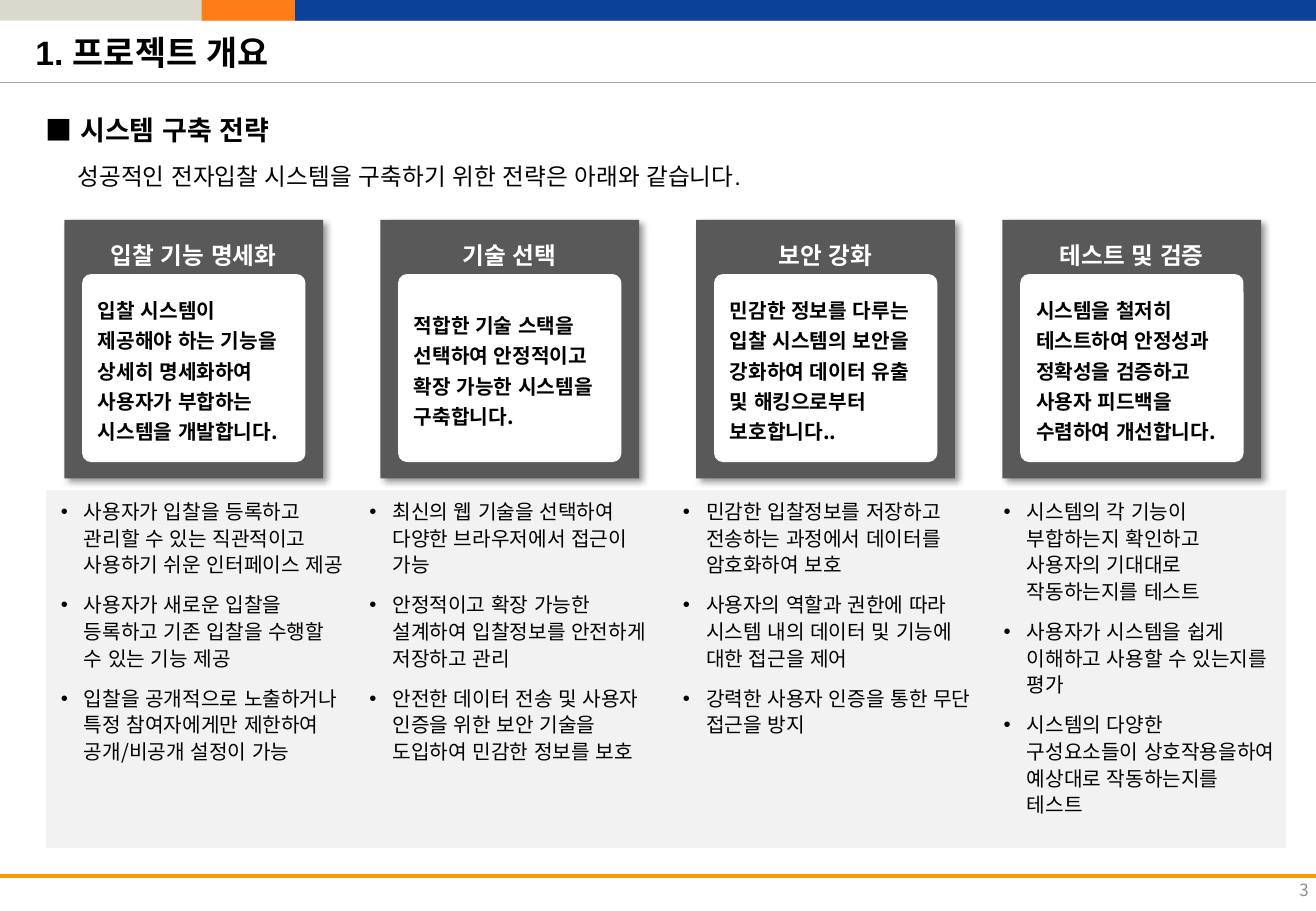
from dataclasses import dataclass

from lxml.etree import SubElement
from pptx import Presentation
from pptx.dml.color import RGBColor
from pptx.enum.lang import MSO_LANGUAGE_ID as Language
from pptx.enum.shapes import MSO_CONNECTOR as Connector, MSO_SHAPE as Shape
from pptx.enum.text import MSO_ANCHOR as Anchor, MSO_AUTO_SIZE as AutoSize, PP_ALIGN as Align
from pptx.oxml.ns import qn
from pptx.util import Inches, Pt

CELL = 0.1
COLUMNS, ROWS = 108.3, 75


@dataclass(frozen=True)
class Theme:
    latin: str = "Arial"
    korean: str = "Noto Sans CJK KR"
    black: str = "000000"
    white: str = "FFFFFF"
    card: str = "595959"
    panel: str = "F2F2F2"
    rule: str = "A6A6A6"
    number: str = "8C8C8C"
    beige: str = "D9D9CE"
    orange: str = "FE7D19"
    blue: str = "0C419A"
    footer: str = "FF9900"
    title_size: int = 20
    heading_size: int = 16
    lead_size: int = 14
    body_size: int = 12
    number_size: int = 10


THEME = Theme()

STRATEGIES = [
    (5.3, "입찰 기능 명세화",
     "입찰 시스템이 제공해야 하는 기능을 상세히 명세화하여 사용자가 부합하는 시스템을 개발합니다.",
     ["사용자가 입찰을 등록하고 관리할 수 있는 직관적이고 사용하기 쉬운 인터페이스 제공",
      "사용자가 새로운 입찰을 등록하고 기존 입찰을 수행할 수 있는 기능 제공",
      "입찰을 공개적으로 노출하거나 특정 참여자에게만 제한하여 공개/비공개 설정이 가능"]),
    (31.3, "기술 선택",
     "적합한 기술 스택을 선택하여 안정적이고 확장 가능한 시스템을 구축합니다.",
     ["최신의 웹 기술을 선택하여 다양한 브라우저에서 접근이 가능",
      "안정적이고 확장 가능한 설계하여 입찰정보를 안전하게 저장하고 관리",
      "안전한 데이터 전송 및 사용자 인증을 위한 보안 기술을 도입하여 민감한 정보를 보호"]),
    (57.3, "보안 강화",
     "민감한 정보를 다루는 입찰 시스템의 보안을 강화하여 데이터 유출 및 해킹으로부터 보호합니다..",
     ["민감한 입찰정보를 저장하고 전송하는 과정에서 데이터를 암호화하여 보호",
      "사용자의 역할과 권한에 따라 시스템 내의 데이터 및 기능에 대한 접근을 제어",
      "강력한 사용자 인증을 통한 무단 접근을 방지"]),
    (82.5, "테스트 및 검증",
     "시스템을 철저히 테스트하여 안정성과 정확성을 검증하고 사용자 피드백을 수렴하여 개선합니다.",
     ["시스템의 각 기능이 부합하는지 확인하고 사용자의 기대대로 작동하는지를 테스트",
      "사용자가 시스템을 쉽게 이해하고 사용할 수 있는지를 평가",
      "시스템의 다양한 구성요소들이 상호작용을하여 예상대로 작동하는지를 테스트"]),
]
PANEL_EDGES = [3.8, 29.2, 55, 81.4, 105.8]


def grid(*cells):
    return [Inches(cell * CELL) for cell in cells]


def color(value):
    return RGBColor.from_string(value)


def write(shape, *texts, size, font=THEME.korean, ink=THEME.black, bold=False, align=Align.LEFT,
          anchor=Anchor.TOP, spacing=None, gap=0, bullet=None, margins=(1, 0.5, 1, 0.5), indent=0):
    frame = shape.text_frame
    frame.word_wrap = True
    frame.auto_size = AutoSize.NONE
    frame.vertical_anchor = anchor
    frame.margin_left, frame.margin_top, frame.margin_right, frame.margin_bottom = grid(*margins)
    for index, text in enumerate(texts):
        paragraph = frame.add_paragraph() if index else frame.paragraphs[0]
        paragraph.alignment = align
        paragraph.line_spacing = Pt(spacing) if spacing else 1
        paragraph.space_before = Pt(gap if index else 0)
        paragraph.space_after = Pt(gap)
        properties = paragraph._p.get_or_add_pPr()
        properties.set("marL", str(Inches(indent * CELL)))
        properties.set("indent", str(-Inches(indent * CELL) if bullet else 0))
        if bullet:
            SubElement(properties, qn("a:buFont"), typeface=THEME.latin)
            SubElement(properties, qn("a:buChar"), char=bullet)
        run = paragraph.add_run()
        run.text = text
        run.font.name = font
        run.font.size = Pt(size)
        run.font.bold = bold
        run.font.color.rgb = color(ink)
        run.font.language_id = Language.KOREAN
        SubElement(run._r.get_or_add_rPr(), qn("a:ea"), typeface=THEME.korean)


class StrategySlide:
    def __init__(self, presentation, theme):
        self.theme = theme
        self.slide = presentation.slides.add_slide(presentation.slide_layouts[4])
        self.shapes = self.slide.shapes

    def place(self, index, box):
        shape = self.slide.placeholders[index]
        shape.left, shape.top, shape.width, shape.height = grid(*box)
        return shape

    def title(self, text, box):
        write(self.place(0, box), text, size=self.theme.title_size, font=self.theme.latin,
              bold=True, anchor=Anchor.MIDDLE, indent=1.9, margins=(1, 0, 1, 0))

    def text(self, text, box, **style):
        write(self.shapes.add_textbox(*grid(*box)), text, **style)

    def block(self, box, fill, kind=Shape.RECTANGLE):
        shape = self.shapes.add_shape(kind, *grid(*box))
        shape.shadow.inherit = False
        shape.fill.solid()
        shape.fill.fore_color.rgb = color(fill)
        shape.line.fill.background()
        return shape

    def rule(self, row, ink, width):
        line = self.shapes.add_connector(Connector.STRAIGHT, *grid(0, row, COLUMNS, row))
        line.line.color.rgb = color(ink)
        line.line.width = Pt(width)
        SubElement(line._element.spPr, qn("a:effectLst"))

    def card(self, left, name, summary):
        card = self.block((left, 18.1, 21.3, 21.3), self.theme.card)
        effects = card._element.spPr.find(qn("a:effectLst"))
        shadow = SubElement(effects, qn("a:outerShdw"), blurRad=str(Pt(4)), dist=str(Pt(3)),
                            dir=str(45 * 60000), algn="tl", rotWithShape="0")
        tint = SubElement(shadow, qn("a:srgbClr"), val=self.theme.black)
        SubElement(tint, qn("a:alpha"), val="40000")
        write(card, name, size=self.theme.lead_size, ink=self.theme.white, bold=True,
              align=Align.CENTER, spacing=25.6)
        inset = self.block((left + 1.6, 22.7, 18.1, 15.2), self.theme.white, Shape.ROUNDED_RECTANGLE)
        inset.adjustments[0] = 0.04
        inset.line.color.rgb = color(self.theme.white)
        inset.line.width = Pt(2)
        write(inset, summary, size=self.theme.body_size, bold=True, anchor=Anchor.MIDDLE, spacing=18)

    def panel(self, index, left, right, points):
        panel = self.place(index, (left, 40.4, right - left, 29.4))
        panel.fill.solid()
        panel.fill.fore_color.rgb = color(self.theme.panel)
        panel.line.color.rgb = color(self.theme.panel)
        panel.line.width = Pt(0.75)
        write(panel, *points, size=self.theme.body_size, spacing=15.8, gap=4, bullet="•",
              indent=1.9, margins=(1.2, 0.5, 0.8, 0.5))


def main():
    presentation = Presentation()
    presentation.slide_width, presentation.slide_height = grid(COLUMNS, ROWS)
    page = StrategySlide(presentation, THEME)

    for left, fill in ((0, THEME.beige), (16.6, THEME.orange), (24.3, THEME.blue)):
        page.block((left, 0, COLUMNS - left, 1.7), fill)
    page.rule(6.8, THEME.rule, 0.25)
    page.rule(72.1, THEME.footer, 2.5)
    page.text("3", (83.4, 71.5, 24.9, 4 - 0.5), size=THEME.number_size, ink=THEME.number,
              align=Align.RIGHT, anchor=Anchor.MIDDLE, margins=(1, 0.5, 0.6, 0.5))

    page.title("1. 프로젝트 개요", (0, 2.1, COLUMNS, 4.4))
    page.text("■ 시스템 구축 전략", (2.8, 8.2, 97.5, 3.9), size=THEME.heading_size,
              font=THEME.latin, bold=True, spacing=23.7)
    page.text("성공적인 전자입찰 시스템을 구축하기 위한 전략은 아래와 같습니다.", (5.4, 12.3, 97.5, 4.7),
              size=THEME.lead_size, font=THEME.latin, spacing=20.7)

    spans = zip(PANEL_EDGES, PANEL_EDGES[1:])
    for index, (strategy, (left, right)) in enumerate(zip(STRATEGIES, spans), start=1):
        card_left, name, summary, points = strategy
        page.card(card_left, name, summary)
        page.panel(index, left, right, points)

    presentation.save("out.pptx")


if __name__ == "__main__":
    main()
